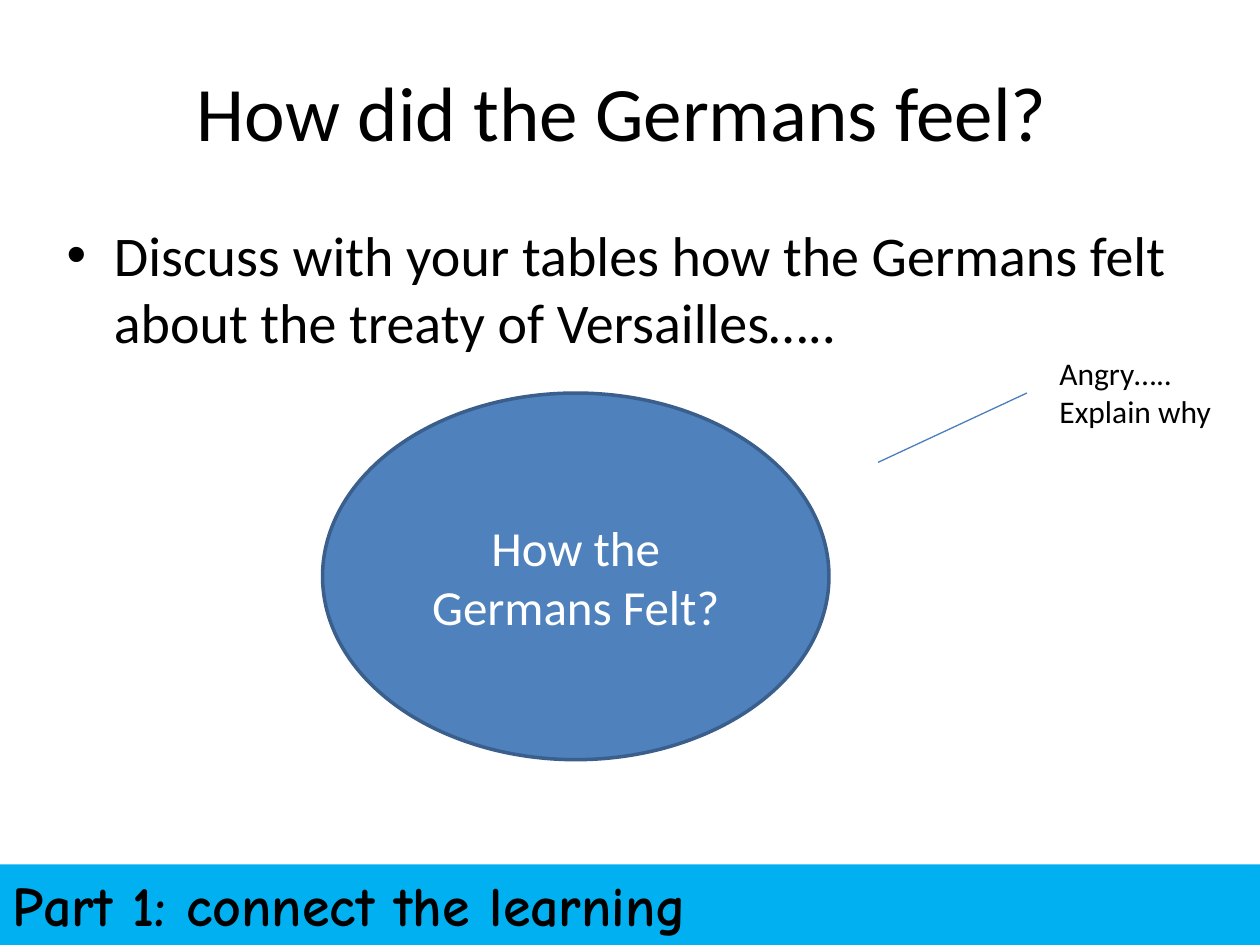
from lxml import etree
from pptx import Presentation
from pptx import util as u
from pptx.dml.color import RGBColor
from pptx.enum import shapes, text
from pptx.oxml import ns

HUES = {"ink": "000000", "paper": "FFFFFF", "blue": "4F81BD",
        "edge": "3A5F8C", "link": "4B7EBC", "band": "00B0F0"}
LEFT, MID = text.PP_ALIGN.LEFT, text.PP_ALIGN.CENTER
TOP, HALF = text.MSO_ANCHOR.TOP, text.MSO_ANCHOR.MIDDLE


def hue(name):
    """Return the named colour."""
    return RGBColor.from_string(HUES[name])


def write(shape, words, size, font="Calibri", ink="ink", bold=False,
          align=LEFT, anchor=TOP, hang=0):
    """Write one paragraph into a shape, with a hanging bullet if asked."""
    frame = shape.text_frame
    frame.word_wrap = True
    frame.vertical_anchor = anchor
    para = frame.paragraphs[0]
    para.alignment = align
    if hang:
        props = para._p.get_or_add_pPr()
        props.set("marL", str(u.Pt(hang)))
        props.set("indent", str(-u.Pt(hang)))
        face = etree.SubElement(props, ns.qn("a:buFont"))
        face.set("typeface", "Arial")
        mark = etree.SubElement(props, ns.qn("a:buChar"))
        mark.set("char", "•")
    run = para.add_run()
    run.text = words
    run.font.name = font
    run.font.size = u.Pt(size)
    run.font.bold = bold
    run.font.color.rgb = hue(ink)


def label(slide, box, words, size, **style):
    """Add a text box."""
    write(slide.shapes.add_textbox(*map(u.Pt, box)), words, size, **style)


def block(slide, kind, box, fill, words, size, edge=None, **style):
    """Add a filled shape with text."""
    shape = slide.shapes.add_shape(kind, *map(u.Pt, box))
    shape.shadow.inherit = False
    shape.fill.solid()
    shape.fill.fore_color.rgb = hue(fill)
    if edge:
        shape.line.color.rgb = hue(edge)
        shape.line.width = u.Pt(2)
    else:
        shape.line.fill.background()
    write(shape, words, size, **style)


def link(slide, ends):
    """Add a thin straight line."""
    line = slide.shapes.add_connector(
        shapes.MSO_CONNECTOR.STRAIGHT, *map(u.Pt, ends))
    line.line.color.rgb = hue("link")
    line.line.width = u.Pt(0.75)
    etree.SubElement(line._element.spPr, ns.qn("a:effectLst"))


def main():
    """Build and save the slide."""
    deck = Presentation()
    deck.slide_width, deck.slide_height = u.Pt(720), u.Pt(540)
    slide = deck.slides.add_slide(deck.slide_layouts[6])
    kind = shapes.MSO_SHAPE
    label(slide, (36.7, 3.6, 648, 118.8), "How did the Germans feel? ", 44,
          align=MID, anchor=HALF)
    label(slide, (31, 122.4, 648, 90.7),
          "Discuss with your tables how the Germans felt about "
          "the treaty of Versailles…..", 32, hang=27)
    block(slide, kind.OVAL, (184.3, 224.6, 289.4, 209.5), "blue",
          "How the Germans Felt?", 28, edge="edge", ink="paper",
          align=MID, anchor=HALF)
    link(slide, (501.8, 264.2, 586.8, 224.6))
    label(slide, (598.3, 198.7, 121.7, 51), "Angry….. Explain why", 18)
    block(slide, kind.RECTANGLE, (0, 494, 720, 46), "band",
          "Part 1: connect the learning", 32, font="Comic Neue", bold=True)
    deck.save("out.pptx")


if __name__ == "__main__":
    main()
